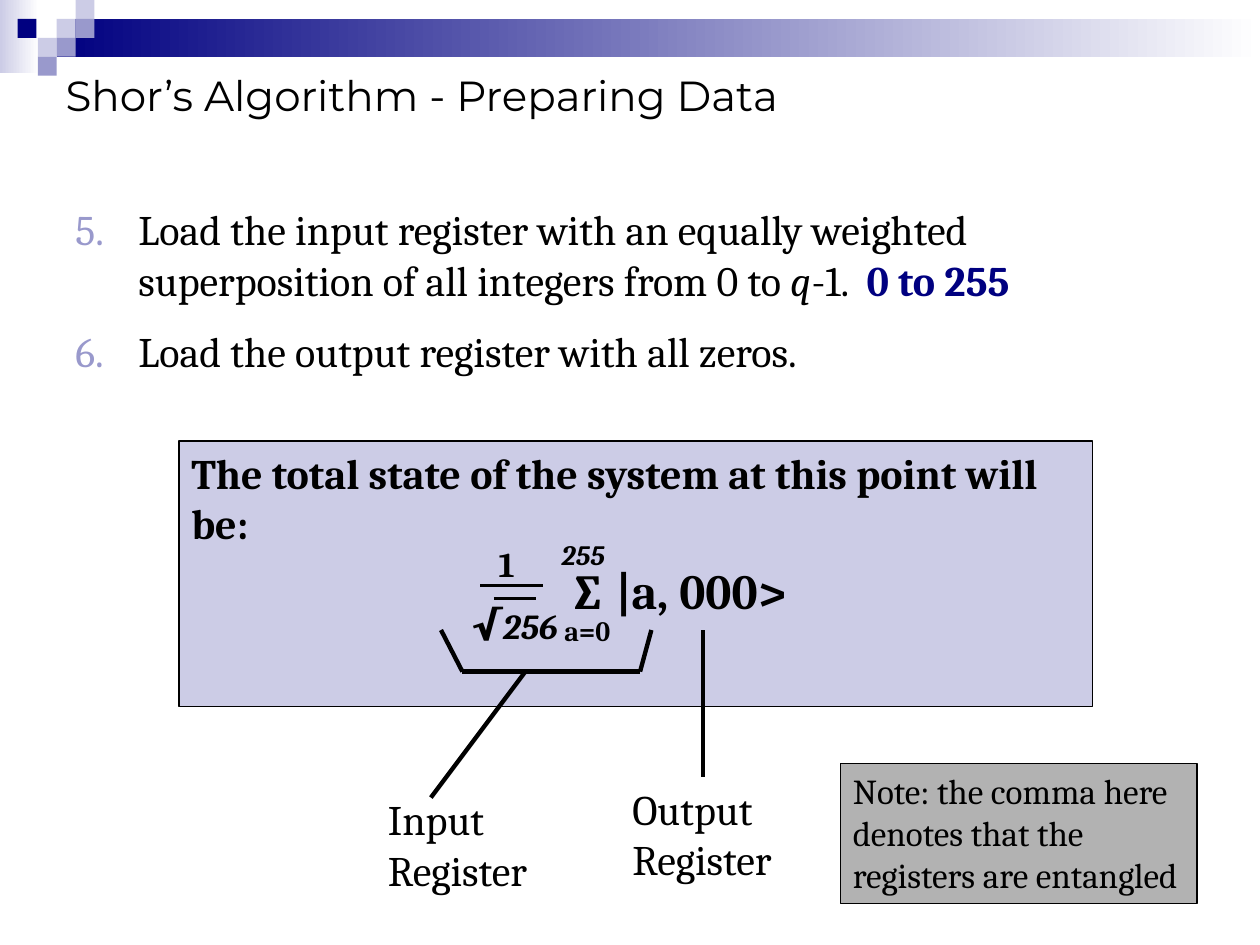
from dataclasses import dataclass
from lxml import etree
from pptx import Presentation
from pptx.dml.color import RGBColor as RGB
from pptx.enum.shapes import MSO_CONNECTOR as CONN, MSO_SHAPE as SHAPE
from pptx.enum.text import MSO_ANCHOR as ANCHOR, PP_ALIGN as ALIGN
from pptx.oxml.ns import qn
from pptx.util import Inches, Pt


@dataclass(frozen=True)
class Theme:
    navy: RGB = RGB(0x00, 0x00, 0x80)
    violet: RGB = RGB(0x99, 0x99, 0xCC)
    lilac: RGB = RGB(0xCC, 0xCC, 0xE6)
    gray: RGB = RGB(0xB2, 0xB2, 0xB2)
    white: RGB = RGB(0xFF, 0xFF, 0xFF)
    black: RGB = RGB(0x00, 0x00, 0x00)
    title_font: str = "Montserrat"
    body_font: str = "Cambria"
    formula: int = 28
    body: int = 24
    note: int = 20
    limit: int = 16


T = Theme()
prs = Presentation()
prs.slide_width, prs.slide_height = Inches(10), Inches(7.5)
s = prs.slides.add_slide(prs.slide_layouts[5])


def add_rect(box, fill, fade_to=None, outline=None):
    sp = s.shapes.add_shape(SHAPE.RECTANGLE, *map(Inches, box))
    sp.shadow.inherit = False
    if fade_to is None:
        sp.fill.solid()
        sp.fill.fore_color.rgb = fill
    else:
        sp.fill.gradient()
        sp.fill.gradient_angle = 0
        for stop, color in zip(sp.fill.gradient_stops, (fill, fade_to)):
            stop.color.rgb = color
    if outline is None:
        sp.line.fill.background()
    else:
        sp.line.color.rgb = outline
        sp.line.width = Pt(0.75)
    return sp


def write(sp, runs, size, bold=False):
    """Fill the shape with one left-aligned paragraph of (text, size, italic) runs."""
    tf = sp.text_frame
    tf.word_wrap = True
    tf.vertical_anchor = ANCHOR.TOP
    p = tf.paragraphs[0]
    p.alignment = ALIGN.LEFT
    p.font.name, p.font.size, p.font.bold = T.body_font, Pt(size), bold
    p.font.color.rgb = T.black
    for text, run_size, italic in runs:
        r = p.add_run()
        r.text = text
        r.font.name, r.font.size = T.body_font, Pt(run_size)
        r.font.bold, r.font.italic = bold, italic
        r.font.color.rgb = T.black


# Header band and checker squares
add_rect((0, 0, 0.31, 0.58), T.lilac, fade_to=T.white)
add_rect((0.45, 0.15, 9.55, 0.3), T.navy, fade_to=T.white)
UNIT = 0.15
for col, row, color in [(3, 1, T.lilac), (4, 0, T.lilac), (4, 1, T.violet),
                        (2, 2, T.lilac), (0.93, 1, T.navy), (3, 2, T.violet),
                        (2, 3, T.violet)]:
    add_rect((col * UNIT, row * UNIT, UNIT, UNIT), color)

# Title
title = s.shapes.title
title.left, title.top, title.width, title.height = map(Inches, (0.42, 0.5, 9, 0.5))
tf = title.text_frame
tf.text = "Shor’s Algorithm - Preparing Data"
tf.vertical_anchor = ANCHOR.MIDDLE
p = tf.paragraphs[0]
p.alignment = ALIGN.LEFT
p.font.name, p.font.size = T.title_font, Pt(T.body)
p.font.color.rgb = T.black

# Numbered steps: runs are (text, colour, bold, italic)
steps = [
    [("Load the input register with an equally weighted superposition of all "
      "integers from 0 to ", T.black, False, False),
     ("q", T.black, False, True),
     ("-1.  ", T.black, False, False),
     ("0 to 255", T.navy, True, False)],
    [("Load the output register with all zeros.", T.black, False, False)],
]
tf = s.shapes.add_textbox(*map(Inches, (0.5, 1.57, 8.92, 1.5))).text_frame
tf.word_wrap = True
for i, runs in enumerate(steps):
    p = tf.add_paragraph() if i else tf.paragraphs[0]
    p.font.name, p.font.size = T.body_font, Pt(T.body)
    if i:
        p.space_before = Pt(T.body / 2)
    pPr = p._p.get_or_add_pPr()
    pPr.set("marL", str(Inches(0.5)))
    pPr.set("indent", str(Inches(-0.5)))
    bullet_color = etree.Element(qn("a:buClr"))
    etree.SubElement(bullet_color, qn("a:srgbClr"), val=str(T.violet))
    number = etree.Element(qn("a:buAutoNum"), type="arabicPeriod", startAt="5")
    for element in (bullet_color, number):
        pPr.insert_element_before(element, "a:tabLst", "a:defRPr", "a:extLst")
    for text, color, bold, italic in runs:
        r = p.add_run()
        r.text = text
        r.font.name, r.font.size = T.body_font, Pt(T.body)
        r.font.color.rgb = color
        r.font.bold, r.font.italic = bold, italic

# State panel and note
panel = add_rect((1.42, 3.5, 7.25, 2.11), T.lilac, outline=T.black)
write(panel, [("The total state of the system at this point will be:", T.body, False)],
      T.body, bold=True)
note = add_rect((6.67, 6.06, 2.83, 1.11), T.gray, outline=T.black)
write(note, [("Note: the comma here denotes that the registers are entangled",
              T.note, False)], T.note)

# Formula parts and register labels
for box, runs, bold in [
    ((3.86, 4.26, 0.33, 0.43), [("1", T.note, False)], True),
    ((3.64, 4.69, 1.03, 0.5), [("√", T.body, False), ("256", T.note, True)], True),
    ((4.42, 4.4, 2.08, 0.57), [("∑ |a, 000>", T.formula, False)], True),
    ((4.38, 4.82, 0.58, 0.37), [("a=0", T.limit, False)], True),
    ((4.36, 4.22, 0.58, 0.37), [("255", T.limit, True)], True),
    ((2.98, 6.25, 1.35, 0.9), [("Input Register", T.body, False)], False),
    ((4.92, 6.17, 1.35, 0.9), [("Output Register", T.body, False)], False),
]:
    write(s.shapes.add_textbox(*map(Inches, box)), runs, runs[0][1], bold)

# Fraction bar, root bar, input bracket with its pointer, output pointer
for x1, y1, x2, y2, width in [
    (3.81, 4.65, 4.31, 4.65, 1.75),
    (3.92, 4.75, 4.25, 4.75, 1.75),
    (3.67, 5.33, 5.08, 5.33, 2.5),
    (5.08, 5.33, 5.17, 5, 2.5),
    (3.67, 5.33, 3.5, 5, 2.5),
    (4.17, 5.33, 3.42, 6.33, 2.5),
    (5.58, 5, 5.58, 6.17, 2.5),
]:
    line = s.shapes.add_connector(CONN.STRAIGHT, *map(Inches, (x1, y1, x2, y2)))
    line.line.color.rgb = T.black
    line.line.width = Pt(width)
    etree.SubElement(line._element.spPr, qn("a:effectLst"))

prs.save("out.pptx")
